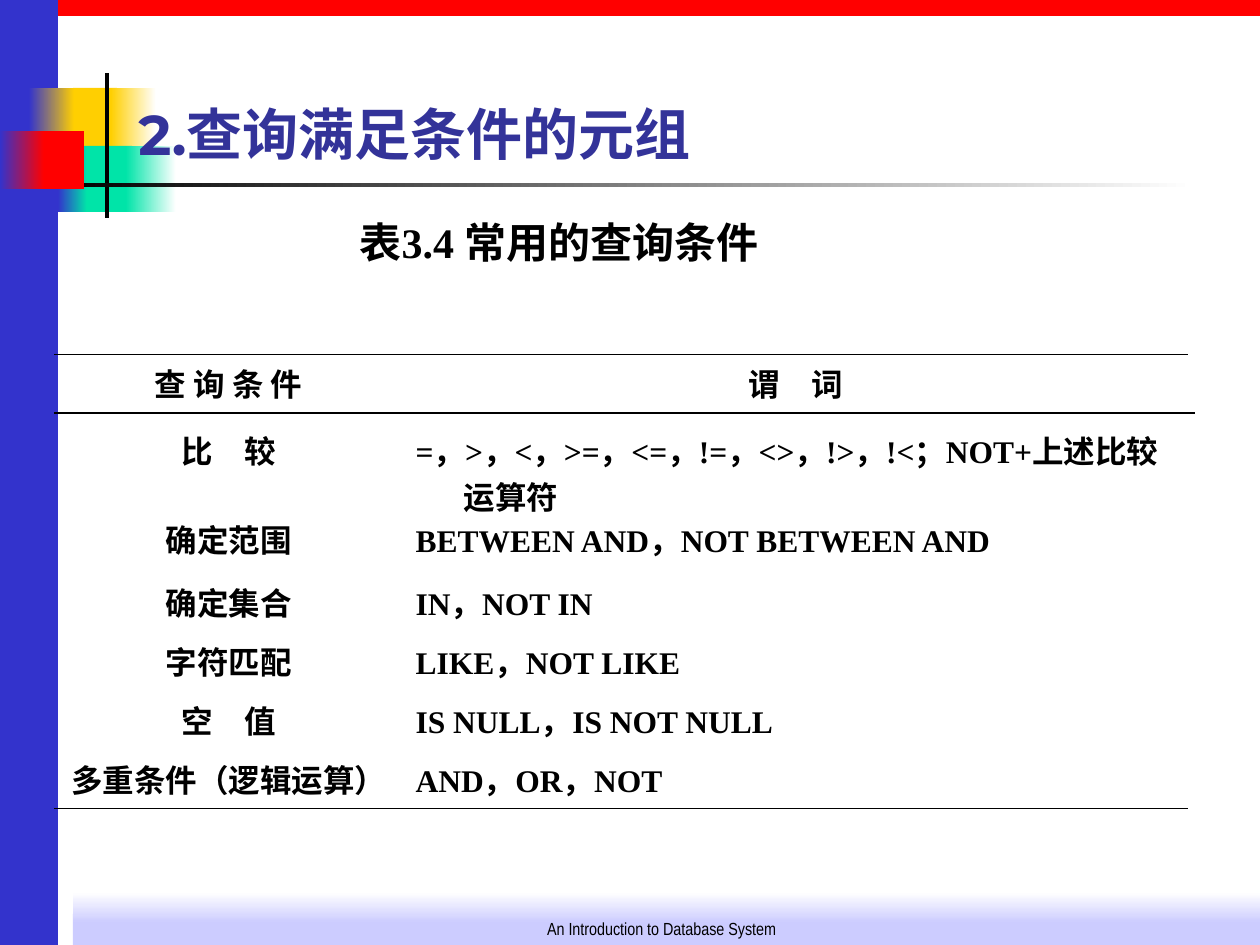
from pptx import Presentation
from pptx.dml.color import RGBColor
from pptx.enum.shapes import MSO_CONNECTOR as CONN, MSO_SHAPE as SHAPE
from pptx.enum.text import MSO_ANCHOR as ANCHOR, PP_ALIGN as ALIGN
from pptx.oxml import parse_xml
from pptx.oxml.ns import nsdecls
from pptx.util import Emu, Pt

SCALE = 914400 / 126
NO_GRID = "{2D5ABB26-0587-4C30-8999-92F81FD0307C}"
BLUE, RED, YELLOW, GREEN = "3333CC", "FF0000", "FFCF01", "00E4A8"
BLACK, WHITE, LILAC = "000000", "FFFFFF", "CCCCFF"
HANG = 48

TITLE = dict(name="Montserrat", size=Pt(32), bold=True, color="333399")
CAPTION = dict(name="Times New Roman", size=Pt(24), bold=True, color=BLACK)
BODY = dict(CAPTION, size=Pt(18))
FOOTER = dict(name="Arial Narrow", size=Pt(10), bold=False, color=BLACK)

ROWS = [
    ("查 询 条 件", "谓　词"),
    ("比　较", "=，>，<，>=，<=，!=，<>，!>，!<；NOT+上述比较运算符"),
    ("确定范围", "BETWEEN AND，NOT BETWEEN AND"),
    ("确定集合", "IN，NOT IN"),
    ("字符匹配", "LIKE，NOT LIKE"),
    ("空　值", "IS NULL，IS NOT NULL"),
    ("多重条件（逻辑运算）", "AND，OR，NOT"),
]
COL_WIDTHS = [349, 785]
ROW_HEIGHTS = [67, 88, 63, 59, 59, 59, 59]


def px(n):
    return Emu(round(n * SCALE))


def rgb(color):
    return RGBColor.from_string(color)


def add_rect(s, x, y, w, h, *colors, angle=0):
    sp = s.shapes.add_shape(SHAPE.RECTANGLE, px(x), px(y), px(w), px(h))
    sp.shadow.inherit = False
    sp.line.fill.background()
    if len(colors) == 1:
        sp.fill.solid()
        sp.fill.fore_color.rgb = rgb(colors[0])
        return
    sp.fill.gradient()
    sp.fill.gradient_angle = angle
    for stop, color, pos in zip(sp.fill.gradient_stops, colors, (0, 1)):
        stop.color.rgb = rgb(color)
        stop.position = pos


def write(tf, text, fmt, align=ALIGN.LEFT, hang=0):
    p = tf.paragraphs[0]
    p.alignment = align
    if hang:
        pPr = p._p.get_or_add_pPr()
        pPr.set("marL", str(px(hang)))
        pPr.set("indent", str(-px(hang)))
    r = p.add_run()
    r.text = text
    for key, value in fmt.items():
        if key == "color":
            r.font.color.rgb = rgb(value)
        else:
            setattr(r.font, key, value)


def add_text(s, x, y, w, h, text, fmt, align=ALIGN.LEFT, anchor=ANCHOR.BOTTOM,
             wrap=True, hang=0):
    tf = s.shapes.add_textbox(px(x), px(y), px(w), px(h)).text_frame
    tf.word_wrap = wrap
    tf.vertical_anchor = anchor
    write(tf, text, fmt, align, hang)


def add_frame(s, x, y, w, h):
    side = 58
    add_rect(s, x + side, y, w - side, 16, RED)
    add_rect(s, x, y, side, h, BLUE)


def add_footer(s, x, y, w, h):
    band = 31
    add_rect(s, x, y + h - band, w, band, LILAC)
    add_rect(s, x, y, w, band, WHITE, LILAC, angle=270)
    add_text(s, x + 389, y + h - 63, 399, 63, "An Introduction to Database System",
             FOOTER, ALIGN.CENTER)


def add_emblem(s, x, y):
    tile = 66
    add_rect(s, x + 73, y + 15, 44, tile, YELLOW)
    add_rect(s, x + 111, y + 15, 45, tile, YELLOW, WHITE)
    add_rect(s, x + 74, y + 73, 58, tile, GREEN)
    add_rect(s, x + 126, y + 73, 50, tile, GREEN, WHITE)
    add_rect(s, x + 105, y, 4, 145, BLACK)
    add_rect(s, x + 29, y + 15, 45, tile, BLUE, YELLOW)
    add_rect(s, x + 58, y + 73, 29, tile, BLUE, GREEN)
    add_rect(s, x + 60, y + 110, 1134, 4, BLACK, WHITE)
    add_rect(s, x + 40, y + 58, 44, 58, RED)
    add_rect(s, x, y + 58, 44, 58, BLUE, RED)


def add_border(cell, side):
    ln = parse_xml(
        f'<a:{side} {nsdecls("a")} w="{Pt(0.45)}"><a:solidFill>'
        f'<a:srgbClr val="{BLACK}"/></a:solidFill></a:{side}>')
    cell._tc.get_or_add_tcPr().insert(0, ln)


def add_conditions(s, x, y, w, h):
    frame = s.shapes.add_table(len(ROWS), len(COL_WIDTHS), px(x), px(y), px(w), px(h))
    frame._element.xpath(".//a:tableStyleId")[0].text = NO_GRID
    table = frame.table
    table.first_row = table.horz_banding = False
    for col, width in zip(table.columns, COL_WIDTHS):
        col.width = px(width)
    for i, (row, texts) in enumerate(zip(table.rows, ROWS)):
        row.height = px(ROW_HEIGHTS[i])
        for j, (cell, text) in enumerate(zip(row.cells, texts)):
            cell.fill.background()
            cell.margin_left = cell.margin_right = Pt(7.2)
            cell.margin_top = cell.margin_bottom = Pt(3.6)
            align = ALIGN.CENTER if i == 0 or j == 0 else ALIGN.LEFT
            write(cell.text_frame, text, BODY, align, HANG)
            if i == 0:
                add_border(cell, "lnT")
            if i == len(ROWS) - 1:
                add_border(cell, "lnB")
    rule_y = px(y + 59)
    rule = s.shapes.add_connector(CONN.STRAIGHT, px(x), rule_y, px(x + w + 7), rule_y)
    rule.line.color.rgb = rgb(BLACK)
    rule.line.width = Pt(0.75)
    rule._element.spPr.append(parse_xml(f'<a:effectLst {nsdecls("a")}/>'))


def main():
    prs = Presentation()
    prs.slide_width, prs.slide_height = px(1260), px(945)
    s = prs.slides.add_slide(prs.slide_layouts[6])
    add_frame(s, 0, 0, 1260, 945)
    add_footer(s, 73, 892, 1187, 53)
    add_emblem(s, 0, 73)
    add_text(s, 126, 95, 1018, 78, "2.查询满足条件的元组", TITLE)
    add_conditions(s, 54, 354, sum(COL_WIDTHS), sum(ROW_HEIGHTS))
    add_text(s, 290, 210, 538, 63, "表3.4 常用的查询条件", CAPTION, ALIGN.CENTER,
             ANCHOR.TOP, wrap=False, hang=HANG)
    prs.save("out.pptx")


if __name__ == "__main__":
    main()
